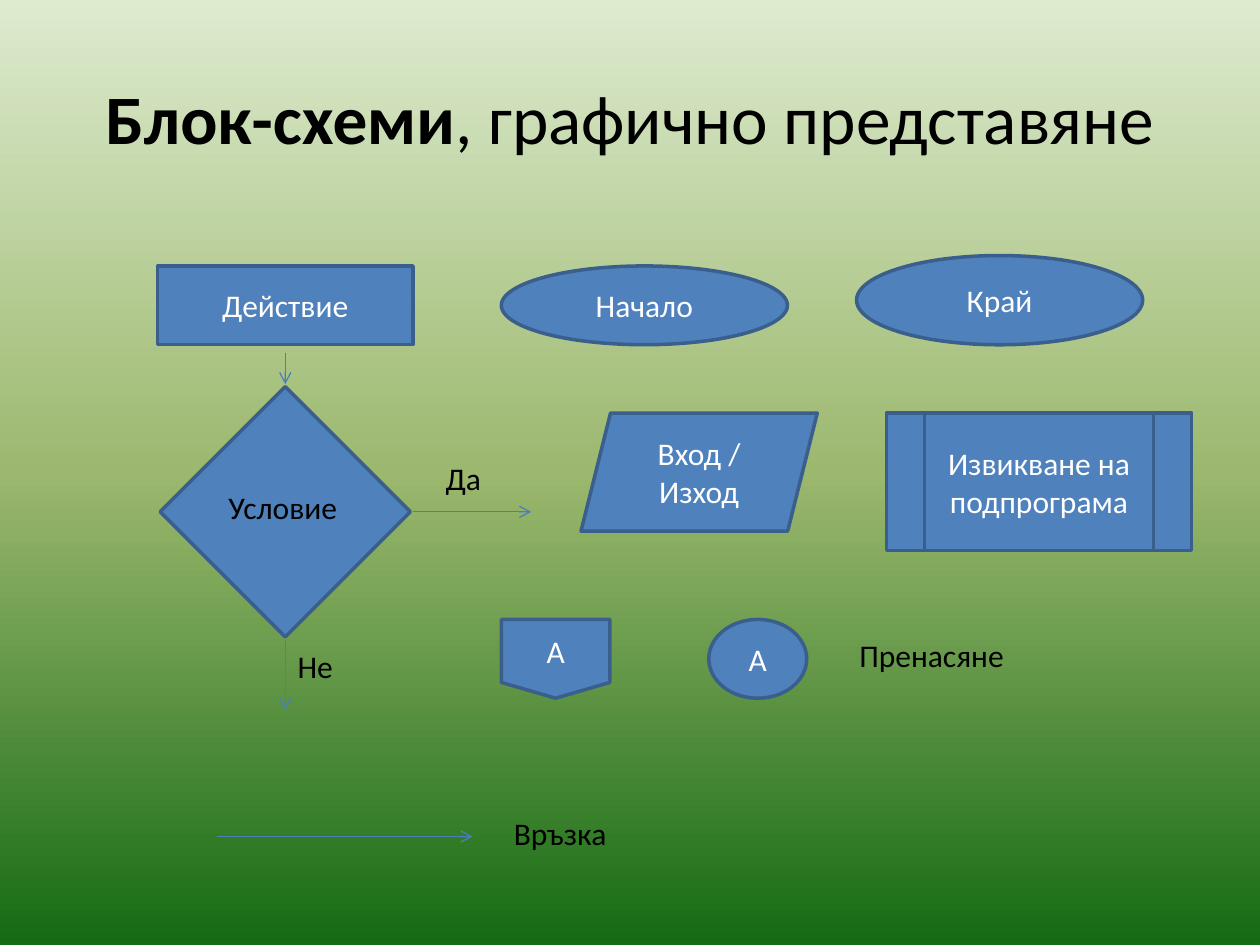
from copy import deepcopy

from lxml import etree
from pptx import Presentation
from pptx.dml.color import RGBColor
from pptx.enum.shapes import MSO_CONNECTOR, MSO_SHAPE
from pptx.enum.text import MSO_ANCHOR, MSO_AUTO_SIZE, PP_ALIGN
from pptx.oxml.ns import qn
from pptx.util import Pt

STRAIGHT = MSO_CONNECTOR.STRAIGHT
RECTANGLE = MSO_SHAPE.RECTANGLE
OVAL = MSO_SHAPE.OVAL
PARALLELOGRAM = MSO_SHAPE.PARALLELOGRAM
SUBROUTINE = MSO_SHAPE.FLOWCHART_PREDEFINED_PROCESS
PAGE_LINK = MSO_SHAPE.FLOWCHART_OFFPAGE_CONNECTOR
LINK = MSO_SHAPE.FLOWCHART_CONNECTOR
CENTER = PP_ALIGN.CENTER
LEFT = PP_ALIGN.LEFT
MIDDLE = MSO_ANCHOR.MIDDLE
NO_AUTO_SIZE = MSO_AUTO_SIZE.NONE
FIT_SHAPE = MSO_AUTO_SIZE.SHAPE_TO_FIT_TEXT

FONT = "Calibri"
BLACK = RGBColor(0x00, 0x00, 0x00)
WHITE = RGBColor(0xFF, 0xFF, 0xFF)
BLUE = RGBColor(0x4F, 0x81, 0xBD)
OUTLINE = RGBColor(0x3A, 0x5F, 0x8C)
ARROW = RGBColor(0x4B, 0x7E, 0xBC)
BACKGROUND = [
    (0, RGBColor(0xDD, 0xEB, 0xCF)),
    (0.5, RGBColor(0x9C, 0xB8, 0x6E)),
    (1, RGBColor(0x15, 0x6B, 0x13)),
]


def add_text(paragraph, text, size=18, color=BLACK, bold=False, align=LEFT):
    paragraph.alignment = align
    run = paragraph.add_run()
    run.text = text
    run.font.name = FONT
    run.font.size = Pt(size)
    run.font.bold = bold
    run.font.color.rgb = color


def add_symbol(slide, kind, left, top, width, height, text=""):
    shape = slide.shapes.add_shape(kind, Pt(left), Pt(top), Pt(width), Pt(height))
    shape.shadow.inherit = False
    shape.fill.solid()
    shape.fill.fore_color.rgb = BLUE
    shape.line.color.rgb = OUTLINE
    shape.line.width = Pt(2)
    if text:
        shape.text_frame.vertical_anchor = MIDDLE
        add_text(shape.text_frame.paragraphs[0], text, color=WHITE, align=CENTER)
    return shape


def add_label(slide, text, left, top, width, height=29):
    box = slide.shapes.add_textbox(Pt(left), Pt(top), Pt(width), Pt(height))
    box.text_frame.word_wrap = False
    box.text_frame.auto_size = FIT_SHAPE
    add_text(box.text_frame.paragraphs[0], text)


def add_arrow(slide, start_x, start_y, end_x, end_y):
    connector = slide.shapes.add_connector(
        STRAIGHT, Pt(start_x), Pt(start_y), Pt(end_x), Pt(end_y))
    connector.line.color.rgb = ARROW
    connector.line.width = Pt(0.75)
    properties = connector.element.spPr
    line = properties.find(qn("a:ln"))
    etree.SubElement(line, qn("a:tailEnd"), type="arrow")
    etree.SubElement(properties, qn("a:effectLst"))


def paint_background(slide):
    fill = slide.background.fill
    fill.gradient()
    fill.gradient_angle = 270
    stop_list = next(slide.element.iter(qn("a:gsLst")))
    stop_list.append(deepcopy(stop_list[-1]))
    for stop, (position, color) in zip(fill.gradient_stops, BACKGROUND):
        stop.position = position
        stop.color.rgb = color


def place_title(slide, left, top, width, height):
    title = slide.shapes.title
    title.left, title.top = Pt(left), Pt(top)
    title.width, title.height = Pt(width), Pt(height)
    title.text_frame.vertical_anchor = MIDDLE
    title.text_frame.auto_size = NO_AUTO_SIZE
    paragraph = title.text_frame.paragraphs[0]
    add_text(paragraph, "Блок-схеми", size=39.6, bold=True, align=CENTER)
    add_text(paragraph, ", графично представяне", size=39.6, align=CENTER)


def place_basic_symbols(slide, left, top):
    """Action, start and end, standing on one base line."""
    base = top + 51
    for kind, offset, width, height, text in [
        (RECTANGLE, 0, 146, 45, "Действие"),
        (OVAL, 196.5, 163.5, 45, "Начало"),
        (OVAL, 399.5, 163.5, 51, "Край"),
    ]:
        add_symbol(slide, kind, left + offset, base - height, width, height, text)


def place_condition(slide, left, top, size):
    """Diamond inside a square box, with its incoming and outgoing arrows."""
    center_x, center_y = left + size / 2, top + size / 2
    right, bottom = left + size, top + size
    side = size / 2 ** 0.5
    diamond = add_symbol(slide, RECTANGLE, center_x - side / 2, center_y - side / 2,
                         side, side)
    diamond.rotation = 45
    add_arrow(slide, center_x, top - 19, center_x, top - 1.5)
    add_arrow(slide, right + 1.5, center_y, right + 69, center_y)
    add_arrow(slide, center_x, bottom + 2, center_x, bottom + 41.5)
    add_label(slide, "Условие", center_x - 39.5, center_y - 17, 77)
    add_label(slide, "Да", right + 13, center_y - 34, 35)
    add_label(slide, "Не", center_x, bottom + 2, 35)


def place_operations(slide, left, top):
    add_symbol(slide, PARALLELOGRAM, left, top, 135, 67.5, "Вход / Изход")
    add_symbol(slide, SUBROUTINE, left + 174.5, top, 174.5, 78.5,
               "Извикване на подпрограма")


def place_transfer(slide, left, top):
    add_symbol(slide, PAGE_LINK, left, top, 62, 45, "А")
    add_symbol(slide, LINK, left + 118.5, top, 56, 45, "А")
    add_label(slide, "Пренасяне", left + 197.5, top + 6, 102)


def place_connection(slide, left, top, arrow_length):
    arrow_y = top + 16.5
    add_arrow(slide, left, arrow_y, left + arrow_length, arrow_y)
    add_label(slide, "Връзка", left + arrow_length + 16.5, top, 68.5)


def main():
    presentation = Presentation()
    presentation.slide_width, presentation.slide_height = Pt(720), Pt(540)
    slide = presentation.slides.add_slide(presentation.slide_layouts[5])
    paint_background(slide)
    place_title(slide, 36, 21.6, 648, 90)
    place_basic_symbols(slide, 90, 146)
    place_condition(slide, 91.5, 221, 143)
    place_operations(slide, 332, 236)
    place_transfer(slide, 286.5, 354)
    place_connection(slide, 124, 461.5, 146)
    presentation.save("out.pptx")


if __name__ == "__main__":
    main()
